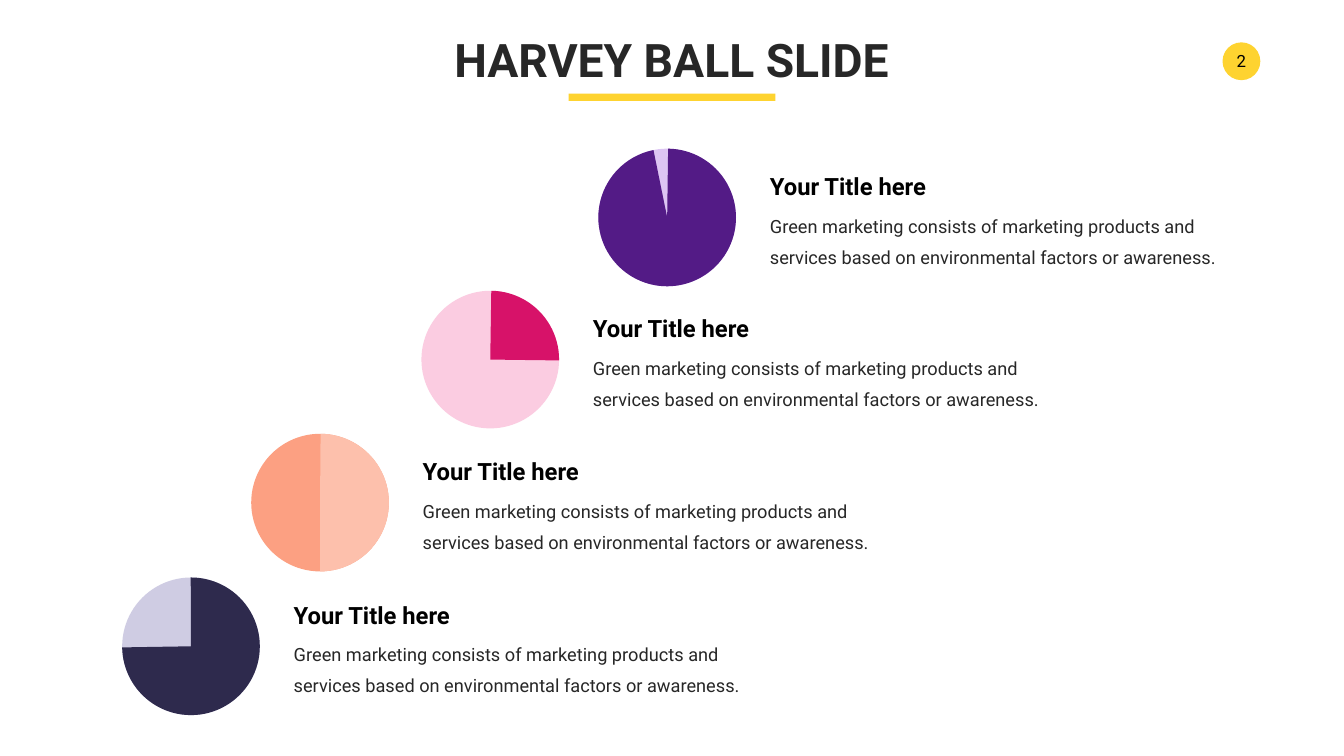
import pptx
import pptx.util
import pptx.dml.color
import pptx.enum.shapes
import pptx.enum.text

Pt = pptx.util.Pt
Shapes = pptx.enum.shapes.MSO_SHAPE
Align = pptx.enum.text.PP_ALIGN
Anchor = pptx.enum.text.MSO_ANCHOR

TITLE = "HARVEY BALL SLIDE"
PAGE_NUMBER = "2"
HEADING = "Your Title here"
BODY = (
    "Green marketing consists of marketing products and services "
    "based on environmental factors or awareness."
)
COLORS = {
    "accent": "FED330",
    "black": "000000",
    "text": "272727",
    "violet": "531B86",
    "lilac": "DDC5F3",
    "crimson": "D71269",
    "pink": "FBCCE1",
    "peach": "FDC0AC",
    "orange": "FCA082",
    "navy": "2E2A4D",
    "lavender": "CFCCE3",
}
BALLS = [
    {"left": 854.6, "top": 212.4, "base": "lilac", "share": "violet", "angles": (270.79, 258.52)},
    {"left": 601.9, "top": 415.4, "base": "pink", "share": "crimson", "angles": (270.87, 0.71)},
    {"left": 358.8, "top": 619.7, "base": "orange", "share": "peach", "angles": (270.45, 90)},
    {"left": 174.5, "top": 825, "base": "lavender", "share": "navy", "angles": (269.78, 179.07)},
]
FONT = "Roboto"
DIAMETER = 196.6
TEXT_OFFSET = 237.9
HEADING_OFFSET = 29.2
BODY_OFFSET = 77.8
ADJUSTMENT_PER_DEGREE = 0.6


def color(name):
    return pptx.dml.color.RGBColor.from_string(COLORS[name])


def add_filled(slide, kind, box, fill):
    shape = slide.shapes.add_shape(kind, *map(Pt, box))
    shape.shadow.inherit = False
    shape.fill.solid()
    shape.fill.fore_color.rgb = color(fill)
    shape.line.fill.background()
    return shape


def write(shape, text, size, fill, bold=False, align=Align.LEFT, wrap=True, spacing=None):
    frame = shape.text_frame
    frame.auto_size = pptx.enum.text.MSO_AUTO_SIZE.NONE
    frame.word_wrap = wrap
    paragraph = frame.paragraphs[0]
    paragraph.alignment = align
    if spacing:
        paragraph.line_spacing = Pt(spacing)
    run = paragraph.add_run()
    run.text = text
    run.font.name = FONT
    run.font.size = Pt(size)
    run.font.bold = bold
    run.font.color.rgb = color(fill)


def add_text(slide, box, *content, **style):
    write(slide.shapes.add_textbox(*map(Pt, box)), *content, **style)


def add_ball(slide, ball):
    left, top = ball["left"], ball["top"]
    box = (left, top, DIAMETER, DIAMETER)
    add_filled(slide, Shapes.OVAL, box, ball["base"])
    pie = add_filled(slide, Shapes.PIE, box, ball["share"])
    for index, angle in enumerate(ball["angles"]):
        pie.adjustments[index] = angle * ADJUSTMENT_PER_DEGREE
    text_left = left + TEXT_OFFSET
    add_text(slide, (text_left, top + HEADING_OFFSET, 240.5, 48.2),
             HEADING, 34, "black", bold=True, wrap=False)
    add_text(slide, (text_left, top + BODY_OFFSET, 707.8, 92.2),
             BODY, 26, "text", spacing=44.4)


def main():
    presentation = pptx.Presentation()
    presentation.slide_width = Pt(1919.52)
    presentation.slide_height = Pt(1080)
    slide = presentation.slides.add_slide(presentation.slide_layouts[5])

    badge = add_filled(slide, Shapes.OVAL, (1746, 60.5, 54, 54), "accent")
    frame = badge.text_frame
    frame.margin_left = frame.margin_right = Pt(3.6)
    frame.vertical_anchor = Anchor.MIDDLE
    write(badge, PAGE_NUMBER, 24, "black", align=Align.CENTER)

    title = slide.shapes.title
    title.left, title.top, title.width, title.height = map(Pt, (638.6, 41, 641.5, 87.1))
    title.text_frame.vertical_anchor = Anchor.TOP
    write(title, TITLE, 66, "text", bold=True, align=Align.CENTER, wrap=False)
    add_filled(slide, Shapes.RECTANGLE, (812.2, 133.9, 295.2, 10.1), "accent")

    for ball in BALLS:
        add_ball(slide, ball)

    presentation.save("out.pptx")


if __name__ == "__main__":
    main()
